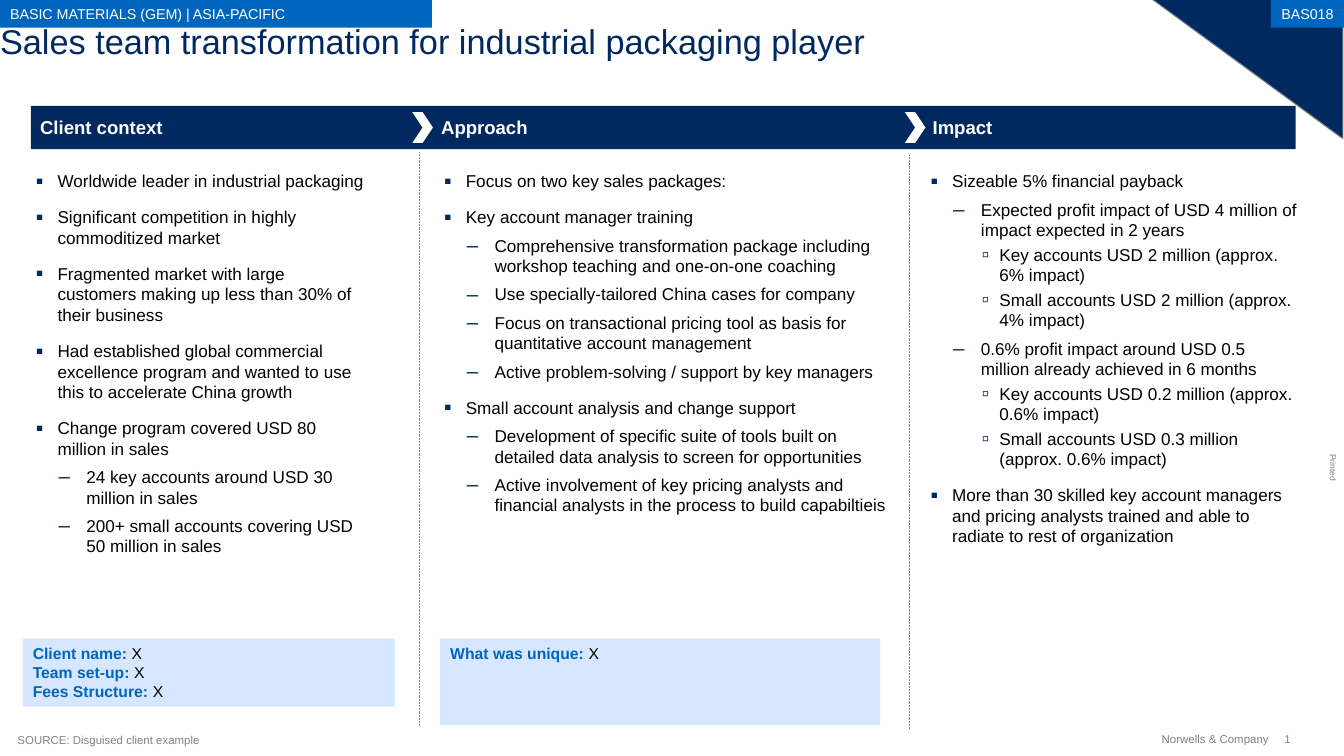
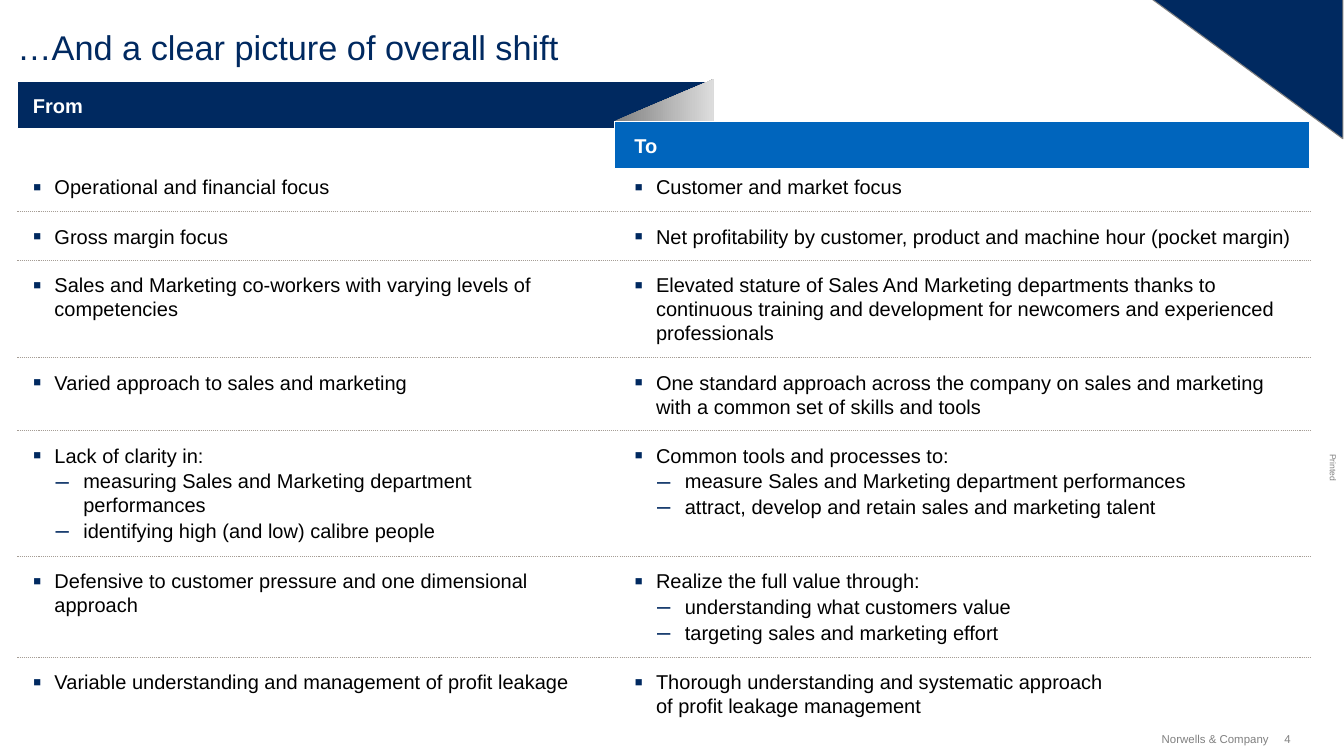
from lxml import etree
from pptx import Presentation
from pptx.dml.color import RGBColor
from pptx.enum.dml import MSO_LINE
from pptx.enum.shapes import MSO_CONNECTOR, MSO_SHAPE
from pptx.enum.text import MSO_ANCHOR, MSO_AUTO_SIZE, PP_ALIGN
from pptx.oxml.ns import qn
from pptx.util import Inches, Pt

# Shared style
NAVY = RGBColor(0x00, 0x29, 0x60)
BLUE = RGBColor(0x00, 0x65, 0xBD)
PALE_BLUE = RGBColor(0xD6, 0xE7, 0xFF)
GRAY = RGBColor(0x80, 0x80, 0x80)
LIGHT_GRAY = RGBColor(0xDD, 0xDD, 0xDD)
WARM_GRAY = RGBColor(0xA5, 0x9D, 0x95)
WHITE = RGBColor(0xFF, 0xFF, 0xFF)
BLACK = RGBColor(0x00, 0x00, 0x00)
FONT = "Arial"

RECTANGLE, CHEVRON = MSO_SHAPE.RECTANGLE, MSO_SHAPE.CHEVRON
TRIANGLE = MSO_SHAPE.ISOSCELES_TRIANGLE
STRAIGHT = MSO_CONNECTOR.STRAIGHT
DOTTED = MSO_LINE.ROUND_DOT
TOP, MIDDLE, BOTTOM = MSO_ANCHOR.TOP, MSO_ANCHOR.MIDDLE, MSO_ANCHOR.BOTTOM
LEFT, CENTER, RIGHT = PP_ALIGN.LEFT, PP_ALIGN.CENTER, PP_ALIGN.RIGHT
NO_AUTOFIT = MSO_AUTO_SIZE.NONE

TITLE_ONLY = 5
# Level: (left margin, hanging indent, bullet, bullet size in %)
BULLETS = {1: (0.21, 0.21, "▪", 125),
           2: (0.49, 0.27, "–", 120),
           3: (0.67, 0.17, "▫", 120)}
# Space before each level, as a share of the text size
LOOSE = {1: 0.9, 2: 0.45, 3: 0.23}
TIGHT = {1: 0.15, 2: 0.08}

# Content: bullets are (level, text)
COLUMNS = [
    # header, header left, header width, text left, text width, bullets
    ("Client context", 0.39, 2.91, 0.35, 3.19, [
        (1, "Worldwide leader in industrial packaging"),
        (1, "Significant competition in highly commoditized market"),
        (1, "Fragmented market with large customers making up less than "
            "30% of their business"),
        (1, "Had established global commercial excellence program and "
            "wanted to use this to accelerate China growth"),
        (1, "Change program covered USD 80 million in sales"),
        (2, "24 key accounts around USD 30 million in sales"),
        (2, "200+ small accounts covering USD 50 million in sales"),
    ]),
    ("Approach", 4.29, 3.49, 4.32, 4.31, [
        (1, "Focus on two key sales packages:"),
        (1, "Key account manager training"),
        (2, "Comprehensive transformation package including workshop "
            "teaching and one-on-one coaching"),
        (2, "Use specially-tailored China cases for company"),
        (2, "Focus on transactional pricing tool as basis for quantitative "
            "account management"),
        (2, "Active problem-solving / support by key managers"),
        (1, "Small account analysis and change support"),
        (2, "Development of specific suite of tools built on detailed data "
            "analysis to screen for opportunities"),
        (2, "Active involvement of key pricing analysts and financial "
            "analysts in the process to build capabiltieis"),
    ]),
    ("Impact", 9.07, 3.17, 9.05, 3.57, [
        (1, "Sizeable 5% financial payback"),
        (2, "Expected profit impact of USD 4 million of impact expected "
            "in 2 years"),
        (3, "Key accounts USD 2 million (approx. 6% impact)"),
        (3, "Small accounts USD 2 million (approx. 4% impact)"),
        (2, "0.6% profit impact around USD 0.5 million already achieved "
            "in 6 months"),
        (3, "Key accounts USD 0.2 million (approx. 0.6% impact)"),
        (3, "Small accounts USD 0.3 million (approx. 0.6% impact)"),
        (1, "More than 30 skilled key account managers and pricing analysts "
            "trained and able to radiate to rest of organization"),
    ]),
]

SHIFT_ROWS = [
    # top, from, to
    (1.7, [(1, "Operational and financial focus")],
     [(1, "Customer and market focus")]),
    (2.18, [(1, "Gross margin focus")],
     [(1, "Net profitability by customer, product and machine hour "
          "(pocket margin)")]),
    (2.65, [(1, "Sales and Marketing co-workers with varying levels of "
                "competencies")],
     [(1, "Elevated stature of Sales And Marketing departments thanks to "
          "continuous training and development for newcomers and "
          "experienced professionals")]),
    (3.6, [(1, "Varied approach to sales and marketing")],
     [(1, "One standard approach across the company on sales and marketing "
          "with a common set of skills and tools")]),
    (4.31, [(1, "Lack of clarity in:"),
            (2, "measuring Sales and Marketing department performances"),
            (2, "identifying high (and low) calibre people")],
     [(1, "Common tools and processes to:"),
      (2, "measure Sales and Marketing department performances"),
      (2, "attract, develop and retain sales and marketing talent")]),
    (5.53, [(1, "Defensive to customer pressure and one dimensional "
                "approach")],
     [(1, "Realize the full value through:"),
      (2, "understanding what customers value"),
      (2, "targeting sales and marketing effort")]),
    (6.51, [(1, "Variable understanding and management of profit leakage")],
     [(1, "Thorough understanding and systematic approach\v"
          "of profit leakage management")]),
]


# Text helpers
def set_font(font, size, color, bold=False):
    font.name, font.size, font.bold = FONT, Pt(size), bold
    font.color.rgb = color


def set_frame(shape, anchor=TOP, wrap=True, insets=(0, 0)):
    frame = shape.text_frame
    frame.auto_size = NO_AUTOFIT
    frame.word_wrap, frame.vertical_anchor = wrap, anchor
    frame.margin_left = frame.margin_right = Inches(insets[0])
    frame.margin_top = frame.margin_bottom = Inches(insets[1])
    return frame


def write_line(frame, text, size, color, bold=False, align=LEFT):
    paragraph = frame.paragraphs[0]
    paragraph.text, paragraph.alignment = text, align
    set_font(paragraph.font, size, color, bold)


def add_label(slide, box, text, size, color, bold=False, align=LEFT,
              anchor=TOP, wrap=False):
    shape = slide.shapes.add_textbox(*map(Inches, box))
    write_line(set_frame(shape, anchor, wrap), text, size, color, bold, align)
    return shape


def set_bullet(paragraph, level):
    margin, hanging, character, percent = BULLETS[level]
    properties = paragraph._p.get_or_add_pPr()
    properties.set("marL", str(Inches(margin)))
    properties.set("indent", str(-Inches(hanging)))
    color = etree.SubElement(properties, qn("a:buClr"))
    etree.SubElement(color, qn("a:srgbClr"), val=str(NAVY))
    etree.SubElement(properties, qn("a:buSzPct"), val=str(percent * 1000))
    etree.SubElement(properties, qn("a:buFont"), typeface=FONT)
    etree.SubElement(properties, qn("a:buChar"), char=character)


def add_bullets(slide, box, items, size, spacing):
    shape = slide.shapes.add_textbox(*map(Inches, box))
    frame = set_frame(shape)
    for index, (level, text) in enumerate(items):
        paragraph = frame.add_paragraph() if index else frame.paragraphs[0]
        paragraph.text, paragraph.level = text, level
        set_bullet(paragraph, level)
        paragraph.space_before = Pt(size * spacing[level] if index else 0)
        set_font(paragraph.font, size, BLACK)


# Shape helpers
def add_block(slide, kind, box, fill, outline=None):
    shape = slide.shapes.add_shape(kind, *map(Inches, box))
    shape.shadow.inherit = False
    shape.fill.solid()
    shape.fill.fore_color.rgb = fill
    if outline is None:
        shape.line.fill.background()
    else:
        shape.line.color.rgb, shape.line.width = outline, Pt(0.75)
    return shape


def add_tag(slide, box, text, align, wrap):
    frame = set_frame(add_block(slide, RECTANGLE, box, BLUE), MIDDLE, wrap,
                      (0.1, 0))
    write_line(frame, text, 10, WHITE, align=align)


def add_fact_box(slide, box, labels):
    frame = set_frame(add_block(slide, RECTANGLE, box, PALE_BLUE),
                      insets=(0.1, 0.05))
    for index, label in enumerate(labels):
        paragraph = frame.add_paragraph() if index else frame.paragraphs[0]
        paragraph.alignment = LEFT
        for text, color, bold in ((label + ": ", BLUE, True),
                                  ("X", BLACK, False)):
            run = paragraph.add_run()
            run.text = text
            set_font(run.font, 11, color, bold)


def add_dotted_line(slide, start, end, color, width):
    connector = slide.shapes.add_connector(STRAIGHT,
                                           *map(Inches, start + end))
    connector.line.color.rgb, connector.line.width = color, Pt(width)
    connector.line.dash_style = DOTTED
    etree.SubElement(connector._element.spPr, qn("a:effectLst"))


def add_fold(slide):
    builder = slide.shapes.build_freeform(Inches(5.97), Inches(1.18))
    builder.add_line_segments([(Inches(x), Inches(y)) for x, y in
                               ((6.94, 0.77), (6.94, 1.19))])
    fold = builder.convert_to_shape()
    fold.shadow.inherit = False
    fold.line.fill.background()
    fold.fill.gradient()
    fold.fill.gradient_angle = 0
    for stop, color in zip(fold.fill.gradient_stops, (GRAY, LIGHT_GRAY)):
        stop.color.rgb = color


# Frame shared by the slides
def add_slide(presentation, title, left, top, number):
    slide = presentation.slides.add_slide(
        presentation.slide_layouts[TITLE_ONLY])
    holder = slide.shapes.title
    holder.left, holder.top = Inches(left), Inches(top)
    holder.width, holder.height = Inches(11.27), Inches(0.4)
    write_line(set_frame(holder), title, 24, NAVY)

    corner = add_block(slide, TRIANGLE, (11.2, -0.01, 1.86, 1.36), NAVY, GRAY)
    corner.adjustments[0] = 1
    corner._element.spPr.xfrm.set("flipV", "1")

    printed = add_label(slide, (12.83, 4.5, 0.27, 0.1), "Printed", 6, GRAY)
    printed.rotation = 90
    add_label(slide, (12.49, 7.12, 0.14, 0.13), number, 8, GRAY,
              anchor=MIDDLE)
    add_label(slide, (11.23, 7.12, 1.11, 0.13), "Norwells & Company", 8, GRAY,
              align=RIGHT, anchor=MIDDLE)
    return slide


def build_case_slide(presentation):
    slide = add_slide(
        presentation,
        "Sales team transformation for industrial packaging player",
        0, 0.2, "1")
    add_label(slide, (0.17, 7.12, 10.88, 0.14),
              "SOURCE: Disguised client example", 8, GRAY, anchor=BOTTOM,
              wrap=True)
    add_tag(slide, (12.36, 0, 0.71, 0.27), "BAS018", CENTER, False)
    add_tag(slide, (0, 0, 4.2, 0.27), "BASIC MATERIALS (GEM) | ASIA-PACIFIC",
            LEFT, True)

    # Header band and columns
    add_block(slide, RECTANGLE, (0.3, 1.03, 12.3, 0.42), NAVY)
    for header, left, width, text_left, text_width, items in COLUMNS:
        add_label(slide, (left, 1.12, width, 0.22), header, 13, WHITE, True,
                  anchor=BOTTOM, wrap=True)
        add_bullets(slide, (text_left, 1.66, text_width, 3.94), items, 12,
                    LOOSE)
    for left in (4.01, 8.8):
        add_block(slide, CHEVRON, (left, 1.09, 0.2, 0.3), WHITE)
    for x, top, bottom in ((4.08, 1.48, 7.05), (8.84, 1.51, 7.09)):
        add_dotted_line(slide, (x, top), (x, bottom), GRAY, 0.5)

    # Facts
    add_fact_box(slide, (0.22, 6.21, 3.62, 0.66),
                 ["Client name", "Team set-up", "Fees Structure"])
    add_fact_box(slide, (4.28, 6.21, 4.28, 0.84), ["What was unique"])


def build_shift_slide(presentation):
    slide = add_slide(presentation, "…And a clear picture of overall shift",
                      0.17, 0.25, "4")
    # Folded ribbon
    add_block(slide, RECTANGLE, (0.17, 0.79, 6.76, 0.46), NAVY, WHITE)
    add_label(slide, (0.32, 0.91, 0.55, 0.24), "From", 14, WHITE, True)
    add_fold(slide)
    add_block(slide, RECTANGLE, (5.98, 1.18, 6.76, 0.46), BLUE, WHITE)
    add_label(slide, (6.17, 1.3, 0.33, 0.24), "To", 14, WHITE, True)

    # Rows, with a divider above all but the first
    for index, (top, before, after) in enumerate(SHIFT_ROWS):
        if index:
            divider = top - 0.12
            add_dotted_line(slide, (0.17, divider), (12.74, divider),
                            WARM_GRAY, 0.75)
        for left, width, items in ((0.32, 5.35, before), (6.17, 6.48, after)):
            add_bullets(slide, (left, top, width, 0.24), items, 14, TIGHT)


def main():
    presentation = Presentation()
    presentation.slide_width = Inches(13.07)
    presentation.slide_height = Inches(7.35)
    build_case_slide(presentation)
    build_shift_slide(presentation)
    presentation.save("out.pptx")


if __name__ == "__main__":
    main()
